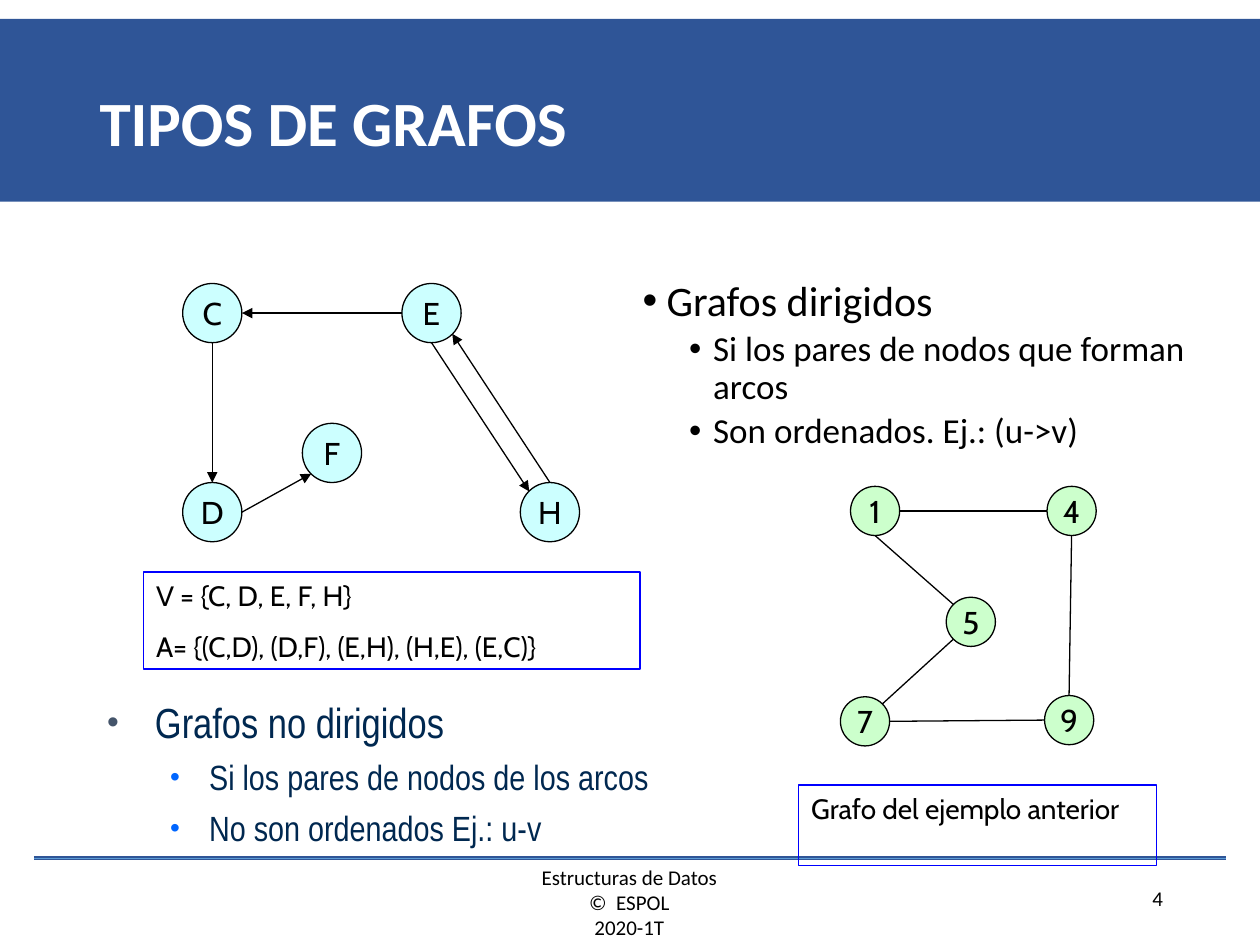
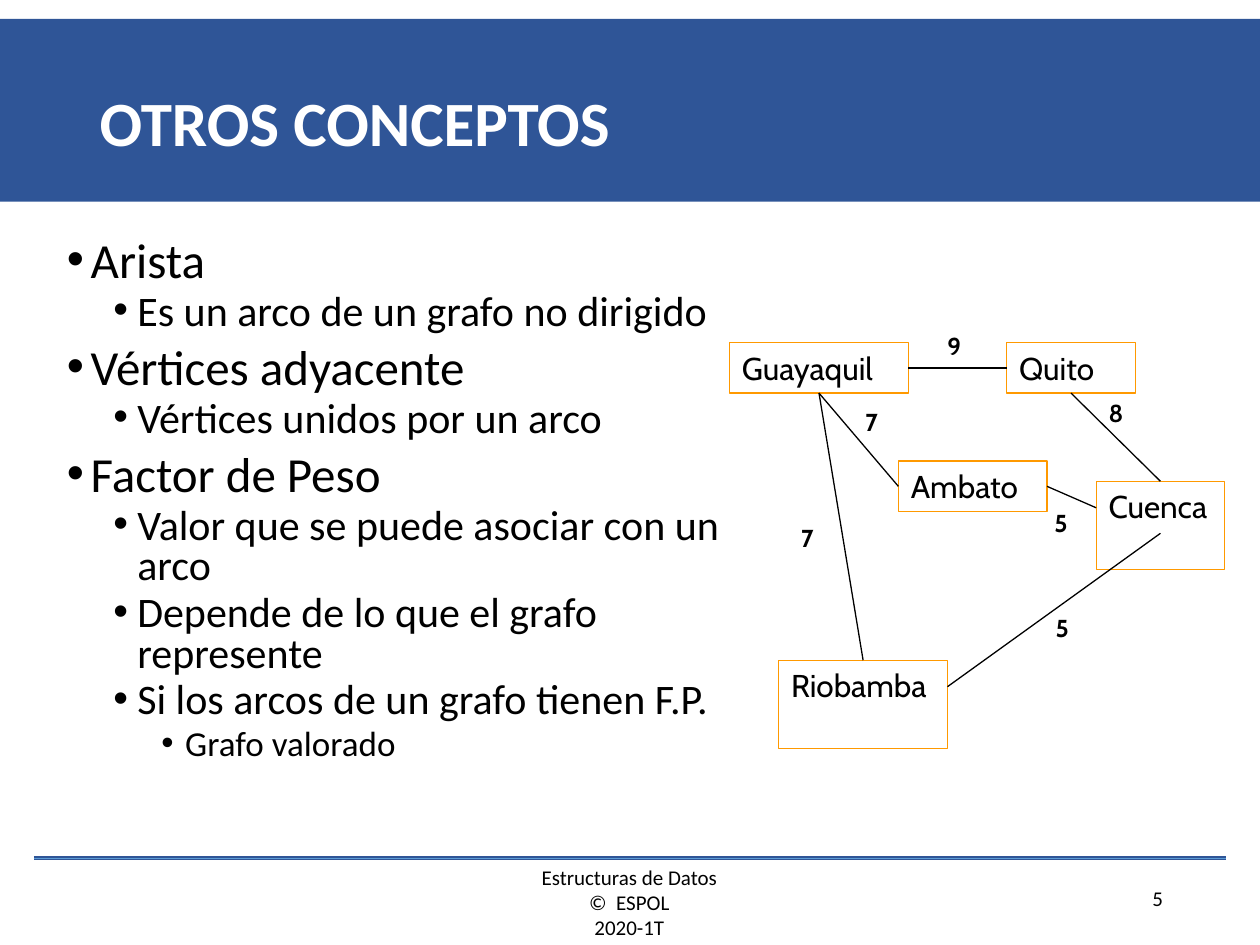
from lxml import etree
from pptx import Presentation
from pptx.dml.color import RGBColor
from pptx.enum.shapes import MSO_CONNECTOR, MSO_SHAPE
from pptx.enum.text import MSO_ANCHOR, MSO_AUTO_SIZE, PP_ALIGN
from pptx.oxml.ns import qn
from pptx.util import Inches, Pt

STRAIGHT = MSO_CONNECTOR.STRAIGHT
RECT, OVAL = MSO_SHAPE.RECTANGLE, MSO_SHAPE.OVAL
TOP, MIDDLE = MSO_ANCHOR.TOP, MSO_ANCHOR.MIDDLE
LEFT, CENTER, RIGHT = PP_ALIGN.LEFT, PP_ALIGN.CENTER, PP_ALIGN.RIGHT
NO_FIT = MSO_AUTO_SIZE.NONE

BLACK, WHITE, BLUE, NAVY = "000000", "FFFFFF", "2F5597", "002850"
SKY, CYAN, GREEN = "5B9BD5", "CCFFFF", "CCFFCC"
FRAME, ORANGE = "0000FF", "FF9900"

FOOTER = ["Estructuras de Datos", "©  ESPOL", "2020-1T"]

DIRECTED = [
    (0, "Grafos dirigidos"),
    (1, "Si los pares de nodos que forman arcos"),
    (1, "Son ordenados. Ej.: (u->v)"),
]
UNDIRECTED = [
    (0, "Grafos no dirigidos"),
    (1, "Si los pares de nodos de los arcos"),
    (1, "No son ordenados Ej.: u-v"),
]
CONCEPTS = [
    (0, "Arista"),
    (1, "Es un arco de un grafo no dirigido"),
    (0, "Vértices adyacente"),
    (1, "Vértices unidos por un arco"),
    (0, "Factor de Peso"),
    (1, "Valor que se puede asociar con un arco"),
    (1, "Depende de lo que el grafo represente"),
    (1, "Si los arcos de un grafo tienen F.P."),
    (2, "Grafo valorado"),
]
SETS = ["V = {C, D, E, F, H}", "A= {(C,D), (D,F), (E,H), (H,E), (E,C)}"]
CAPTION = ["Grafo del ejemplo anterior"]

LETTERS = {"C": (1.45, 2.25), "E": (3.19, 2.25), "D": (1.45, 3.83),
           "F": (2.4, 3.36), "H": (4.13, 3.83)}
ARCS = [("E", "left", "C", "right"), ("C", "bottom", "D", "top"),
        ("D", "right", "F", "bottom left"), ("E", "bottom", "H", "top left"),
        ("H", "top", "E", "bottom right")]

NUMBERS = {"1": (6.75, 3.86), "4": (8.31, 3.86), "5": (7.51, 4.74),
           "7": (6.67, 5.53), "9": (8.29, 5.52)}
EDGES = [("1", "right", "4", "left"), ("1", "bottom", "5", "top left"),
         ("5", "bottom left", "7", "top right"), ("7", "right", "9", "left"),
         ("9", "top", "4", "bottom")]

CITIES = {"Guayaquil": (5.79, 2.72, 1.42, 0.4), "Quito": (7.99, 2.72, 1.02, 0.4),
          "Cuenca": (8.7, 3.82, 1.02, 0.7), "Ambato": (7.13, 3.66, 1.18, 0.4),
          "Riobamba": (6.18, 5.24, 1.34, 0.7)}
ROADS = [("Guayaquil", "right", "Quito", "left"),
         ("Guayaquil", "bottom", "Riobamba", "top"),
         ("Guayaquil", "bottom", "Ambato", "left"),
         ("Ambato", "right", "Cuenca", "upper left"),
         ("Riobamba", "upper right", "Cuenca", "inside"),
         ("Cuenca", "top", "Quito", "bottom")]
WEIGHTS = [("5", 8.28, 4.82), ("5", 8.27, 3.98), ("7", 6.77, 3.18),
           ("9", 7.42, 2.58), ("8", 8.7, 3.11), ("7", 6.26, 4.1)]

SIDES = ["top", "left", "bottom", "right"]
ANCHORS = {
    "top": (0.5, 0), "left": (0, 0.5), "bottom": (0.5, 1), "right": (1, 0.5),
    "top left": (0.15, 0.15), "top right": (0.85, 0.15),
    "bottom left": (0.15, 0.85), "bottom right": (0.85, 0.85),
    "upper left": (0, 0.3), "upper right": (1, 0.3), "inside": (0.5, 0.59),
}

PLAIN_LIST = dict(indents=[(0.19, 0.19), (0.56, 0.19), (0.94, 0.19)],
                  bullets=[BLACK] * 3, before=[7.5, 3.7, 3.7])
NAVY_LIST = dict(indents=[(0.38, 0.38), (0.81, 0.31)],
                 bullets=["44546A", "0066FF"], before=[6, 5], scale=80,
                 font="Arial Narrow", color=NAVY)


def rgb(value):
    return RGBColor.from_string(value)


def place(sp, x, y, w, h):
    sp.left, sp.top, sp.width, sp.height = map(Inches, (x, y, w, h))


def write(sp, lines, size=18, font="Calibri", color=BLACK, bold=False,
          align=LEFT, anchor=TOP, wrap=True, spacing=1.0, before=0):
    tf = sp.text_frame
    tf.auto_size, tf.word_wrap, tf.vertical_anchor = NO_FIT, wrap, anchor
    for i, line in enumerate(lines):
        p = tf.paragraphs[0] if i == 0 else tf.add_paragraph()
        p.alignment, p.line_spacing = align, spacing
        p.space_before = Pt(before if i else 0)
        r = p.add_run()
        r.text = line
        r.font.size, r.font.name, r.font.bold = Pt(size), font, bold
        r.font.color.rgb = rgb(color)


def write_list(sp, box, items, sizes, indents, bullets, before, scale=100, **style):
    place(sp, *box)
    write(sp, [line for _, line in items], **style)
    for i, (p, (level, _)) in enumerate(zip(sp.text_frame.paragraphs, items)):
        p.level = level
        p.space_before = Pt(before[level] if i else 0)
        p.runs[0].font.size = Pt(sizes[level])
        margin, hang = indents[level]
        pPr = p._p.get_or_add_pPr()
        pPr.set("marL", str(Inches(margin)))
        pPr.set("indent", str(-Inches(hang)))
        clr = etree.SubElement(pPr, qn("a:buClr"))
        etree.SubElement(clr, qn("a:srgbClr"), val=bullets[level])
        etree.SubElement(pPr, qn("a:buSzPct"), val=str(scale * 1000))
        etree.SubElement(pPr, qn("a:buFont"), typeface="Arial")
        etree.SubElement(pPr, qn("a:buChar"), char="•")


def add_shape(s, kind, box, fill=None, line=None):
    sp = s.shapes.add_shape(kind, *map(Inches, box))
    sp.shadow.inherit = False
    if fill:
        sp.fill.solid()
        sp.fill.fore_color.rgb = rgb(fill)
    else:
        sp.fill.background()
    if line:
        sp.line.color.rgb = rgb(line)
        sp.line.width = Pt(0.75)
    else:
        sp.line.fill.background()
    return sp


def add_text(s, box, lines, **style):
    write(s.shapes.add_textbox(*map(Inches, box)), lines, **style)


def add_line(s, start, end, color=BLACK, width=0.75, arrow=False):
    cx = s.shapes.add_connector(STRAIGHT, *start, *end)
    cx.line.color.rgb = rgb(color)
    cx.line.width = Pt(width)
    if arrow:
        etree.SubElement(cx.line._get_or_add_ln(), qn("a:tailEnd"), type="triangle")
    etree.SubElement(cx._element.spPr, qn("a:effectLst"))
    return cx


def anchor_point(sp, name):
    fx, fy = ANCHORS[name]
    return int(sp.left + fx * sp.width), int(sp.top + fy * sp.height)


def link(s, nodes, links, arrow=False):
    for a, side_a, b, side_b in links:
        start, end = nodes[a], nodes[b]
        cx = add_line(s, anchor_point(start, side_a), anchor_point(end, side_b), arrow=arrow)
        if start.auto_shape_type == RECT and side_a in SIDES:
            cx.begin_connect(start, SIDES.index(side_a))
        if end.auto_shape_type == RECT and side_b in SIDES:
            cx.end_connect(end, SIDES.index(side_b))


def add_graph(s, places, links, size, fill, arrow=False):
    nodes = {}
    for name, (x, y) in places.items():
        sp = nodes[name] = add_shape(s, OVAL, (x, y, size, size), fill, BLACK)
        write(sp, [name], font="Cabin", align=CENTER, anchor=MIDDLE, wrap=False)
    link(s, nodes, links, arrow)


def add_slide(prs, layout, title, number):
    s = prs.slides.add_slide(prs.slide_layouts[layout])
    band = add_shape(s, RECT, (0, 0.15, 10, 1.45), BLUE)
    s.shapes.element.insert(2, band._element)
    place(s.shapes.title, 0.69, 0.4, 8.63, 1.2)
    write(s.shapes.title, [title], size=36, color=WHITE, bold=True, anchor=MIDDLE, spacing=0.9)
    start, end = [(Inches(x), Inches(6.81)) for x in (0.27, 9.73)]
    for color, width in ((BLUE, 2.25), (SKY, 0.5)):
        add_line(s, start, end, color, width)
    add_text(s, (3.25, 6.81, 3.49, 0.7), FOOTER, size=12, align=CENTER)
    add_text(s, (7.2, 6.98, 2.13, 0.31), [str(number)], size=12, align=RIGHT)
    return s


def build_types(prs):
    s = add_slide(prs, 3, "TIPOS DE GRAFOS", 4)
    write_list(s.placeholders[1], (5, 2.17, 5, 1.86), DIRECTED, (24, 20),
               spacing=0.9, **PLAIN_LIST)
    write_list(s.placeholders[2], (0.75, 5.48, 4.96, 1.47), UNDIRECTED, (24, 20),
               **NAVY_LIST)
    add_graph(s, LETTERS, ARCS, 0.47, CYAN, arrow=True)
    add_graph(s, NUMBERS, EDGES, 0.39, GREEN)
    for box, lines in (((1.14, 4.54, 3.94, 0.77), SETS), ((6.34, 6.23, 2.84, 0.64), CAPTION)):
        write(add_shape(s, RECT, box, line=FRAME), lines, size=16, font="Cabin", before=10)


def build_concepts(prs):
    s = add_slide(prs, 1, "OTROS CONCEPTOS", 5)
    write_list(s.placeholders[1], (0.43, 1.86, 5.75, 4.5), CONCEPTS, (28, 24, 20),
               spacing=0.8, **PLAIN_LIST)
    cities = {}
    for name, box in CITIES.items():
        cities[name] = add_shape(s, RECT, box, line=ORANGE)
        write(cities[name], [name], font="Cabin")
    link(s, cities, ROADS)
    for weight, x, y in WEIGHTS:
        add_text(s, (x, y, 0.39, 0.34), [weight], size=14, font="Cabin", bold=True)


def main():
    prs = Presentation()
    prs.slide_width, prs.slide_height = Inches(10), Inches(7.5)
    build_types(prs)
    build_concepts(prs)
    prs.save("out.pptx")


if __name__ == "__main__":
    main()
